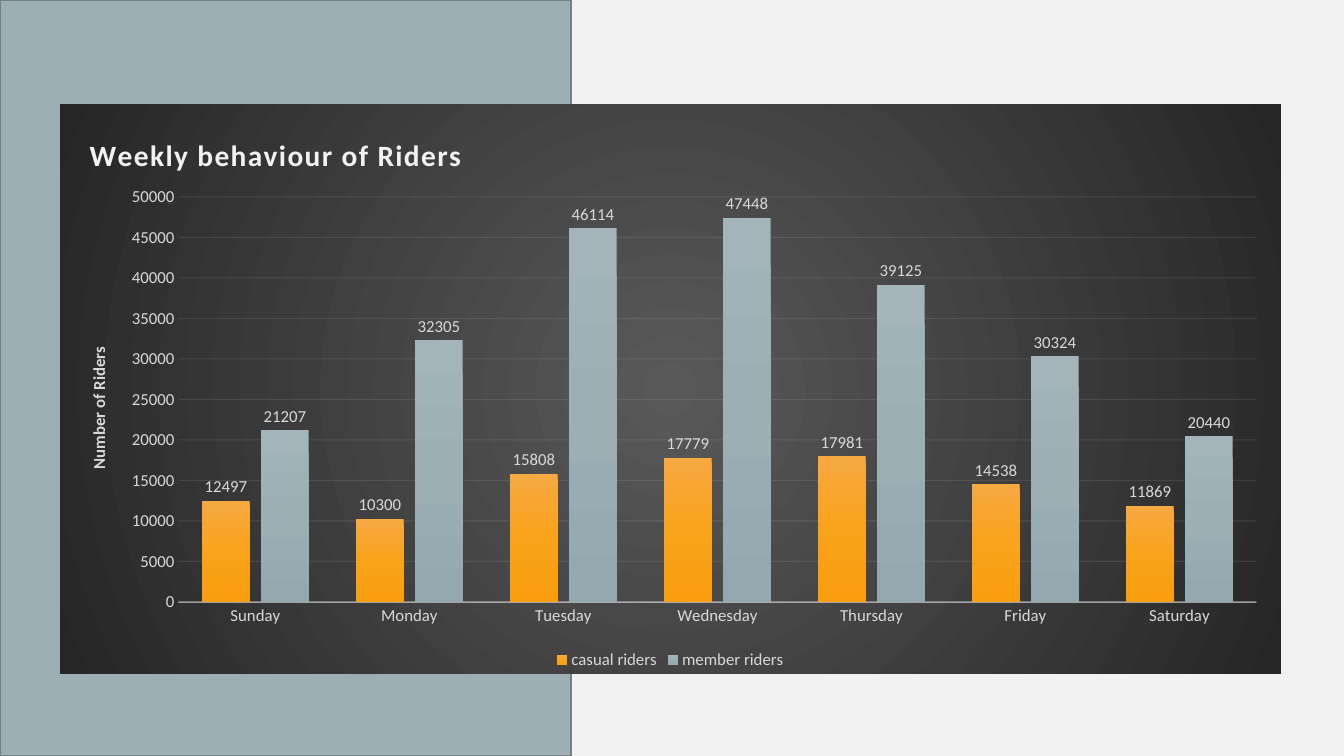
from typing import NamedTuple

from lxml import etree
from pptx import Presentation
from pptx import util as u
from pptx.chart.data import CategoryChartData
from pptx.dml.color import RGBColor
from pptx.enum import chart as ch
from pptx.enum import shapes
from pptx.oxml import parse_xml
from pptx.oxml.ns import nsdecls, qn

FONT = "Calibri"
PANEL = RGBColor(0x9B, 0xAF, 0xB5)
PANEL_EDGE = RGBColor(0x73, 0x81, 0x86)
PALE = RGBColor(0xF2, 0xF2, 0xF2)
LABEL = RGBColor(0xD9, 0xD9, 0xD9)
BACK_CENTRE = RGBColor(0x59, 0x59, 0x59)
BACK_EDGE = RGBColor(0x26, 0x26, 0x26)
ORANGES = (RGBColor(0xF7, 0xA9, 0x42), RGBColor(0xF9, 0xA3, 0x1A), RGBColor(0xF9, 0x9E, 0x0F))
GREYS = (RGBColor(0xA3, 0xB5, 0xBB), PANEL, RGBColor(0x93, 0xA9, 0xAF))

DAYS = ("Sunday", "Monday", "Tuesday", "Wednesday", "Thursday", "Friday", "Saturday")
DOWN = '<a:lin ang="5400000" scaled="0"/>'
FROM_CENTRE = ('<a:path path="circle"><a:fillToRect l="50000" t="50000" '
               'r="50000" b="50000"/></a:path>')


class Riders(NamedTuple):
    name: str
    counts: tuple[int, ...]
    colours: tuple[RGBColor, ...]


RIDERS = (
    Riders("casual riders", (12497, 10300, 15808, 17779, 17981, 14538, 11869), ORANGES),
    Riders("member riders", (21207, 32305, 46114, 47448, 39125, 30324, 20440), GREYS),
)


def px(n: int) -> int:
    return u.Inches(n / 100.8)


def gradient(colours: tuple[RGBColor, ...], direction: str):
    """Make a gradient fill with evenly spaced stops."""
    step = 100000 // (len(colours) - 1)
    stops = "".join(f'<a:gs pos="{i * step}"><a:srgbClr val="{c}"/></a:gs>'
                    for i, c in enumerate(colours))
    return parse_xml(f'<a:gradFill {nsdecls("a")} rotWithShape="1">'
                     f'<a:gsLst>{stops}</a:gsLst>{direction}</a:gradFill>')


def place(element, index: int, **values: float | str) -> None:
    """Give a chart part a manual layout, in fractions of the chart."""
    for old in element.findall(qn("c:layout")):
        element.remove(old)
    layout = parse_xml(f'<c:layout {nsdecls("c")}><c:manualLayout/></c:layout>')
    for key, value in values.items():
        etree.SubElement(layout[0], qn(f"c:{key}"), val=str(value))
    element.insert(index, layout)


def set_font(font, size: int, colour: RGBColor, bold: bool = False) -> None:
    font.name, font.size, font.bold = FONT, u.Pt(size), bold
    font.color.rgb = colour


def add_title(owner, words: str, size: int, colour: RGBColor, x: float, y: float):
    title = owner.chart_title if hasattr(owner, "chart_title") else owner.axis_title
    p = title.text_frame.paragraphs[0]
    p.text = words
    set_font(p.font, size, colour, True)
    place(title._element, 1, xMode="edge", yMode="edge", x=x, y=y)
    return p


def set_line(line, colour: RGBColor, width: float, opacity: int, parent) -> None:
    line.width = u.Pt(width)
    line.color.rgb = colour
    for c in parent.xpath("./c:spPr/a:ln//a:srgbClr"):
        etree.SubElement(c, qn("a:alpha"), val=str(opacity * 1000))


def style_axes(chart) -> None:
    days, counts = chart.category_axis, chart.value_axis
    for axis in (days, counts):
        axis.major_tick_mark = axis.minor_tick_mark = ch.XL_TICK_MARK.NONE
        set_font(axis.tick_labels.font, 12, LABEL)
    set_line(days.format.line, PALE, 1, 54, days._element)
    counts.minimum_scale, counts.maximum_scale, counts.major_unit = 0, 50000, 5000
    counts.format.line.fill.background()
    counts.has_major_gridlines = True
    set_line(counts.major_gridlines.format.line, PALE, 0.75, 10,
             counts._element.find(qn("c:majorGridlines")))
    add_title(counts, "Number of Riders", 12, LABEL, 0.02, 0.42)
    body = counts.axis_title.text_frame._txBody.bodyPr
    body.set("rot", "-5400000")
    body.set("vert", "horz")


def add_riders_chart(s) -> None:
    data = CategoryChartData()
    data.categories = DAYS
    for riders in RIDERS:
        data.add_series(riders.name, riders.counts)
    chart = s.shapes.add_chart(ch.XL_CHART_TYPE.COLUMN_CLUSTERED,
                               px(60), px(104), px(1221), px(570), data).chart
    chart.font.name, chart.font.size = FONT, u.Pt(10)

    space = chart._chartSpace
    back = parse_xml(f'<c:spPr {nsdecls("c", "a")}><a:ln><a:noFill/></a:ln></c:spPr>')
    back.insert(0, gradient((BACK_CENTRE, BACK_EDGE), FROM_CENTRE))
    space.find(qn("c:txPr")).addprevious(back)

    p = add_title(chart, "Weekly behaviour of Riders", 21, PALE, 0.02, 0.045)
    p.font._element.set("spc", "100")
    style_axes(chart)
    place(space.chart.plotArea, 0, layoutTarget="inner", xMode="edge", yMode="edge",
          x=0.097, y=0.163, w=0.883, h=0.711)

    plot = chart.plots[0]
    plot.gap_width, plot.overlap, plot.vary_by_categories = 100, -24, False
    for series, riders in zip(plot.series, RIDERS):
        series._element.get_or_add_spPr().insert(0, gradient(riders.colours, DOWN))
        labels = series.data_labels
        labels.show_value = True
        labels.position = ch.XL_LABEL_POSITION.OUTSIDE_END
        set_font(labels.font, 12, LABEL)

    chart.has_legend = True
    chart.legend.position = ch.XL_LEGEND_POSITION.BOTTOM
    chart.legend.include_in_layout = False
    set_font(chart.legend.font, 12, LABEL)


def main() -> None:
    prs = Presentation()
    prs.slide_width, prs.slide_height = px(1344), px(756)
    s = prs.slides.add_slide(prs.slide_layouts[6])
    s.background.fill.solid()
    s.background.fill.fore_color.rgb = PALE

    panel = s.shapes.add_shape(shapes.MSO_SHAPE.RECTANGLE, 0, 0, px(571), px(756))
    panel.shadow.inherit = False
    panel.fill.solid()
    panel.fill.fore_color.rgb = PANEL
    panel.line.color.rgb = PANEL_EDGE
    panel.line.width = u.Pt(1)

    add_riders_chart(s)
    prs.save("out.pptx")


if __name__ == "__main__":
    main()
